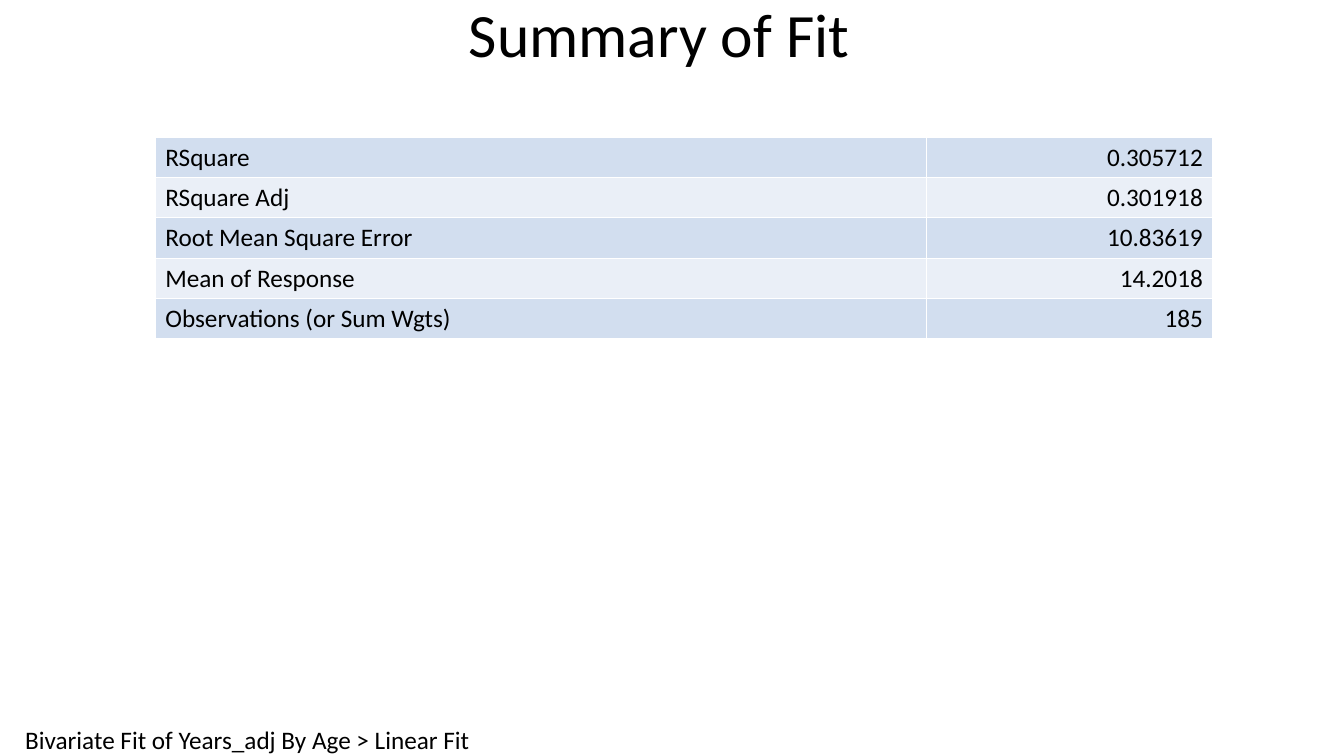
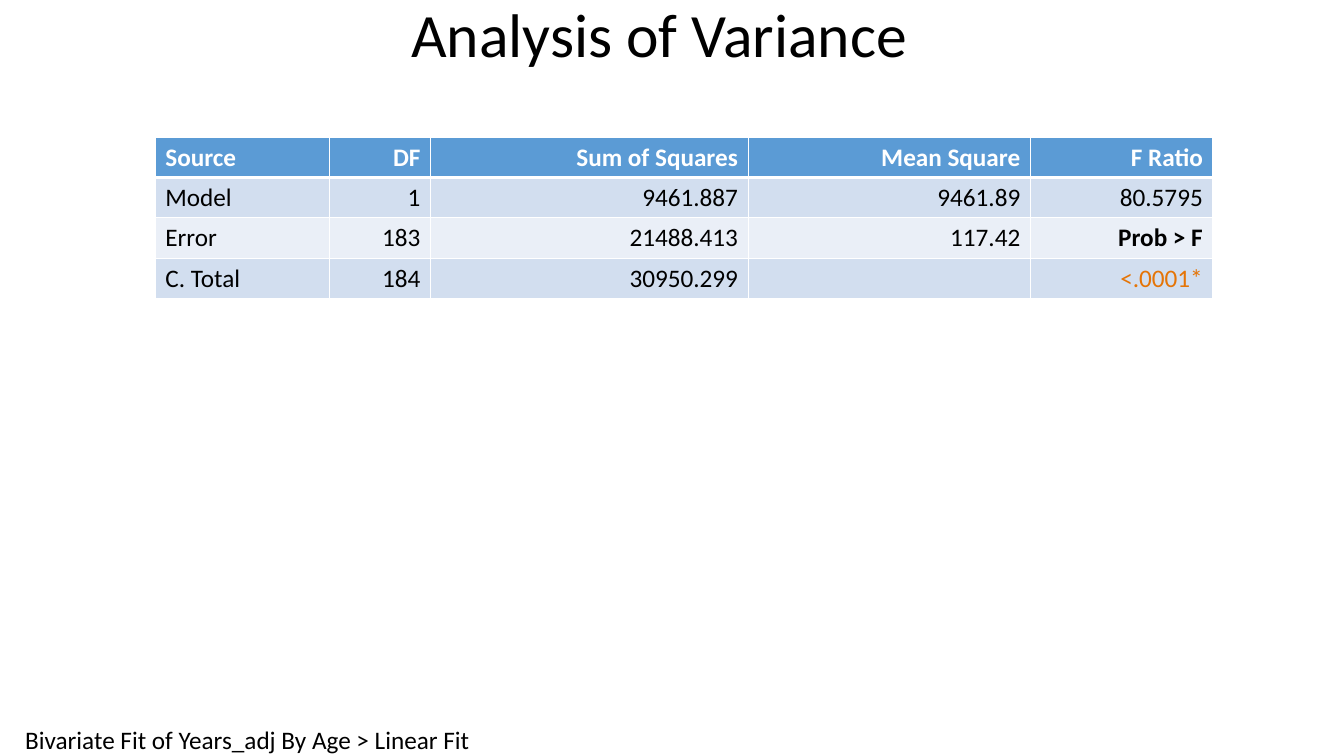
from lxml import etree
from pptx import Presentation
from pptx.dml.color import RGBColor
from pptx.enum.text import MSO_ANCHOR, MSO_AUTO_SIZE, PP_ALIGN
from pptx.oxml.ns import qn
from pptx.util import Inches, Pt

LEFT, CENTER, RIGHT = PP_ALIGN.LEFT, PP_ALIGN.CENTER, PP_ALIGN.RIGHT
MIDDLE = MSO_ANCHOR.MIDDLE
GROW = MSO_AUTO_SIZE.SHAPE_TO_FIT_TEXT
TITLE_ONLY = 5

FONT = "Calibri"
BLACK, WHITE, ORANGE = "000000", "FFFFFF", "E57406"
HEADER_FILL = "5B9BD5"
BAND_FILLS = ("D2DEEF", "EAEFF7")

TITLE_BOX = (0, 0, 13.08, 0.75)
FOOTER_BOX = (0.25, 7.19, 4.46, 0.31)
TABLE_LEFT, TABLE_TOP = 1.54, 1.36
ROW_HEIGHT = 0.4
FOOTER = "Bivariate Fit of Years_adj By Age > Linear Fit"

FIT_ROWS = [
    ("RSquare", "0.305712"),
    ("RSquare Adj", "0.301918"),
    ("Root Mean Square Error", "10.83619"),
    ("Mean of Response", "14.2018"),
    ("Observations (or Sum Wgts)", "185"),
]
VARIANCE_HEADER = ("Source", "DF", "Sum of Squares", "Mean Square", "F Ratio")
VARIANCE_ROWS = [
    ("Model", "1", "9461.887", "9461.89", "80.5795"),
    ("Error", "183", "21488.413", "117.42", "Prob > F"),
    ("C. Total", "184", "30950.299", "", "<.0001*"),
]
VARIANCE_STYLES = {"Prob > F": {"bold": True}, "<.0001*": {"color": ORANGE}}


def rgb(color):
    return RGBColor.from_string(color)


def write(frame, text, size=18, color=BLACK, bold=False, align=LEFT, spacing=None):
    paragraph = frame.paragraphs[0]
    paragraph.alignment = align
    paragraph.line_spacing = spacing
    run = paragraph.add_run()
    run.text = text
    run.font.name = FONT
    run.font.size = Pt(size)
    run.font.bold = bold
    run.font.color.rgb = rgb(color)


def add_title(slide, text, box):
    title = slide.shapes.title
    title.left, title.top, title.width, title.height = map(Inches, box)
    title.text_frame.vertical_anchor = MIDDLE
    write(title.text_frame, text, size=44, align=CENTER, spacing=0.9)


def add_footer(slide, box):
    frame = slide.shapes.add_textbox(*map(Inches, box)).text_frame
    frame.margin_left = frame.margin_top = frame.margin_right = frame.margin_bottom = 0
    frame.word_wrap = False
    frame.auto_size = GROW
    write(frame, FOOTER)


def set_borders(cell, top=1, bottom=1):
    """Draw white cell borders; must run before the cell's fill is set."""
    properties = cell._tc.get_or_add_tcPr()
    for side, width in (("L", 1), ("R", 1), ("T", top), ("B", bottom)):
        line = etree.SubElement(properties, qn(f"a:ln{side}"), w=str(Pt(width)))
        fill = etree.SubElement(line, qn("a:solidFill"))
        etree.SubElement(fill, qn("a:srgbClr"), val=WHITE)


def add_banded_table(slide, left, top, widths, rows, header=None, styles=None):
    """Add a table with labels at left, figures at right and banded rows."""
    styles = styles or {}
    header_count = 1 if header else 0
    lines = ([header] if header else []) + rows
    table = slide.shapes.add_table(
        len(lines), len(widths), Inches(left), Inches(top),
        Inches(sum(widths)), Inches(ROW_HEIGHT * len(lines))).table
    table.first_row = bool(header)
    for column, width in zip(table.columns, widths):
        column.width = Inches(width)

    for row_index, values in enumerate(lines):
        body_index = row_index - header_count
        is_header = body_index < 0
        below_header = bool(header) and body_index == 0
        row_fill = HEADER_FILL if is_header else BAND_FILLS[body_index % 2]
        row_style = {"color": WHITE, "bold": True} if is_header else {}
        for column_index, value in enumerate(values):
            cell = table.cell(row_index, column_index)
            set_borders(cell, top=3 if below_header else 1, bottom=3 if is_header else 1)
            cell.fill.solid()
            cell.fill.fore_color.rgb = rgb(row_fill)
            if value:
                write(cell.text_frame, value, align=RIGHT if column_index else LEFT,
                      **{**row_style, **styles.get(value, {})})


def add_report_slide(deck, title, widths, rows, **table_options):
    slide = deck.slides.add_slide(deck.slide_layouts[TITLE_ONLY])
    add_footer(slide, FOOTER_BOX)
    add_title(slide, title, TITLE_BOX)
    add_banded_table(slide, TABLE_LEFT, TABLE_TOP, widths, rows, **table_options)


def main():
    deck = Presentation()
    deck.slide_width, deck.slide_height = Inches(13.33), Inches(7.5)
    add_report_slide(deck, "Summary of Fit", (7.65, 2.84), FIT_ROWS)
    add_report_slide(deck, "Analysis of Variance", (1.73, 1, 3.15, 2.8, 1.81),
                     VARIANCE_ROWS, header=VARIANCE_HEADER, styles=VARIANCE_STYLES)
    deck.save("out.pptx")


if __name__ == "__main__":
    main()
